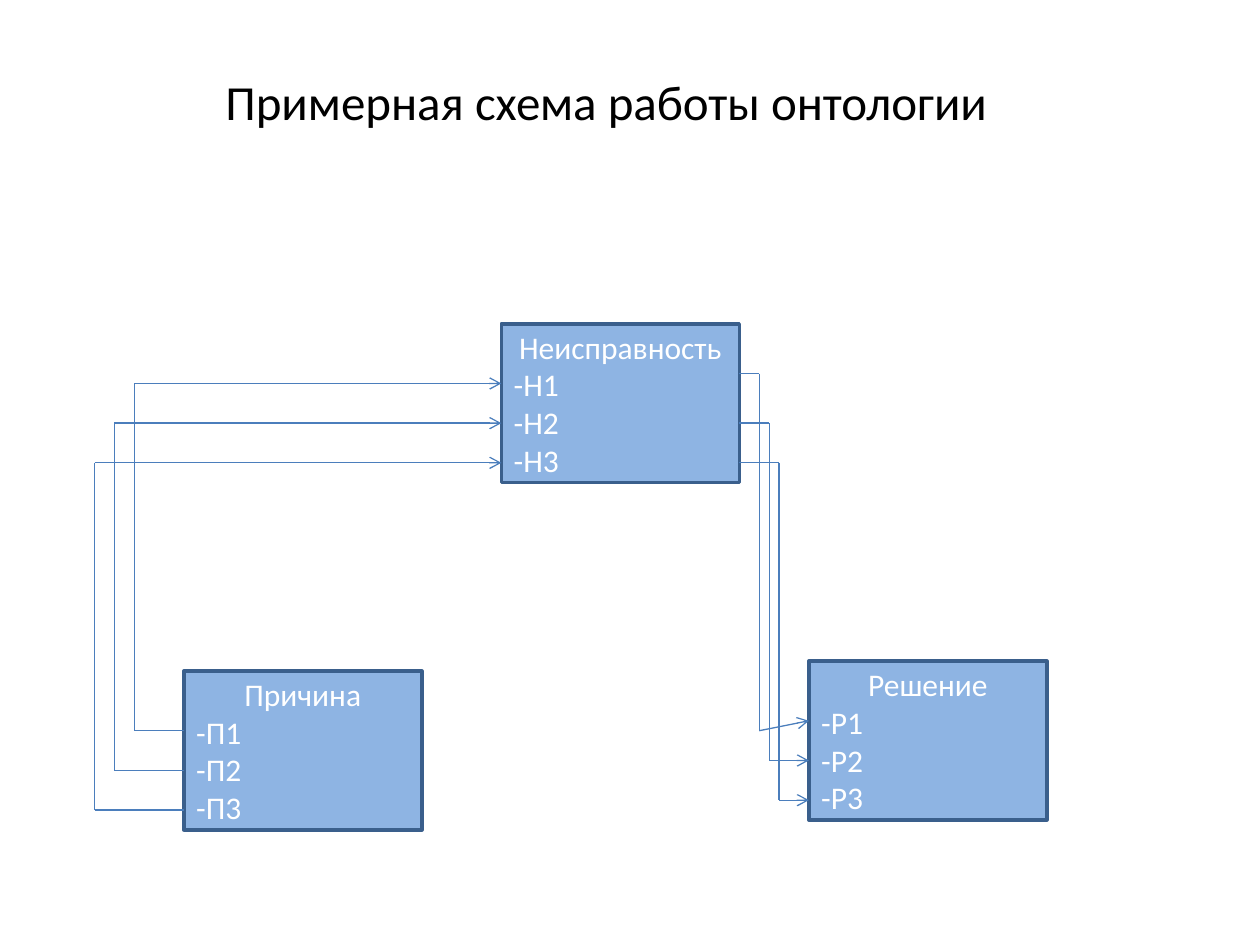
from dataclasses import dataclass
from itertools import pairwise

from pptx import Presentation
from pptx.dml.color import RGBColor as Color
from pptx.enum.shapes import MSO_CONNECTOR as Connector, MSO_SHAPE as Shape
from pptx.enum.text import MSO_ANCHOR as Anchor, MSO_AUTO_SIZE as AutoSize, PP_ALIGN as Align
from pptx.oxml.ns import qn
from pptx.slide import Slide
from pptx.util import Inches, Length, Mm, Pt

Point = tuple[int, int]


@dataclass(frozen=True)
class Theme:
    font: str = "Calibri"
    fill: Color = Color(0x8E, 0xB4, 0xE3)
    border: Color = Color(0x3A, 0x5F, 0x8C)
    arrow: Color = Color(0x4B, 0x7E, 0xBC)
    light: Color = Color(0xFF, 0xFF, 0xFF)
    dark: Color = Color(0, 0, 0)
    title_size: Length = Pt(28)
    body_size: Length = Pt(18)
    border_width: Length = Pt(2)
    arrow_width: Length = Pt(0.75)


@dataclass(frozen=True)
class Entity:
    name: str
    letter: str
    column: int
    row: int
    columns: int = 24
    rows: int = 16

    @property
    def right(self) -> int:
        return self.column + self.columns

    def port(self, index: int) -> int:
        return self.row + 6 + 4 * index


THEME = Theme()
PORTS = 3
FAULT = Entity("Неисправность", "Н", 50, 32)
CAUSE = Entity("Причина", "П", 18, 67)
SOLUTION = Entity("Решение", "Р", 81, 66)


def grid_x(column: int) -> Length:
    return Mm(1.06 + 2 * column)


def grid_y(row: int) -> Length:
    return Mm(1.3 + 2 * row)


def draw_title(page: Slide, text: str) -> None:
    box = page.shapes.add_textbox(Inches(1.69), Inches(0.52), Inches(6.31), Inches(0.57))
    frame = box.text_frame
    frame.word_wrap = False
    frame.auto_size = AutoSize.SHAPE_TO_FIT_TEXT
    frame.text = text
    font = frame.paragraphs[0].font
    font.name, font.size = THEME.font, THEME.title_size
    font.color.rgb = THEME.dark


def draw_entity(page: Slide, entity: Entity) -> None:
    box = page.shapes.add_shape(
        Shape.RECTANGLE, grid_x(entity.column), grid_y(entity.row),
        Mm(2 * entity.columns), Mm(2 * entity.rows))
    box.shadow.inherit = False
    box.fill.solid()
    box.fill.fore_color.rgb = THEME.fill
    box.line.color.rgb = THEME.border
    box.line.width = THEME.border_width
    frame = box.text_frame
    frame.word_wrap = True
    frame.vertical_anchor = Anchor.MIDDLE
    items = [f"-{entity.letter}{number}" for number in range(1, PORTS + 1)]
    frame.text = "\n".join([entity.name, *items])
    for index, para in enumerate(frame.paragraphs):
        para.alignment = Align.LEFT if index else Align.CENTER
        para.font.name, para.font.size = THEME.font, THEME.body_size
        para.font.color.rgb = THEME.light


def draw_route(page: Slide, points: list[Point]) -> None:
    for start, end in pairwise(points):
        line = page.shapes.add_connector(
            Connector.STRAIGHT, grid_x(start[0]), grid_y(start[1]),
            grid_x(end[0]), grid_y(end[1]))
        line.line.color.rgb = THEME.arrow
        line.line.width = THEME.arrow_width
        properties = line._element.spPr
        properties.append(properties.makeelement(qn("a:effectLst"), {}))
    outline = line.line._get_or_add_ln()
    outline.append(outline.makeelement(qn("a:tailEnd"), {"type": "arrow"}))


def cause_route(index: int) -> list[Point]:
    lane = 13 - 2 * index
    start, end = CAUSE.port(index), FAULT.port(index)
    middle = [] if index else [(lane, 43)]
    return [(CAUSE.column, start), (lane, start), *middle, (lane, end), (FAULT.column, end)]


def solution_route(index: int) -> list[Point]:
    lane = 76 + index
    first = index == 0
    start, end = FAULT.port(index) - first, SOLUTION.port(index)
    return [(FAULT.right, start), (lane, start), (lane, end + first), (SOLUTION.column, end)]


def main() -> None:
    """Build the ontology scheme slide."""
    deck = Presentation()
    deck.slide_width, deck.slide_height = Inches(10), Inches(7.5)
    page = deck.slides.add_slide(deck.slide_layouts[6])
    for entity in (FAULT, CAUSE, SOLUTION):
        draw_entity(page, entity)
    for index in range(PORTS):
        draw_route(page, cause_route(index))
        draw_route(page, solution_route(index))
    draw_title(page, "Примерная схема работы онтологии")
    deck.save("out.pptx")


if __name__ == "__main__":
    main()
